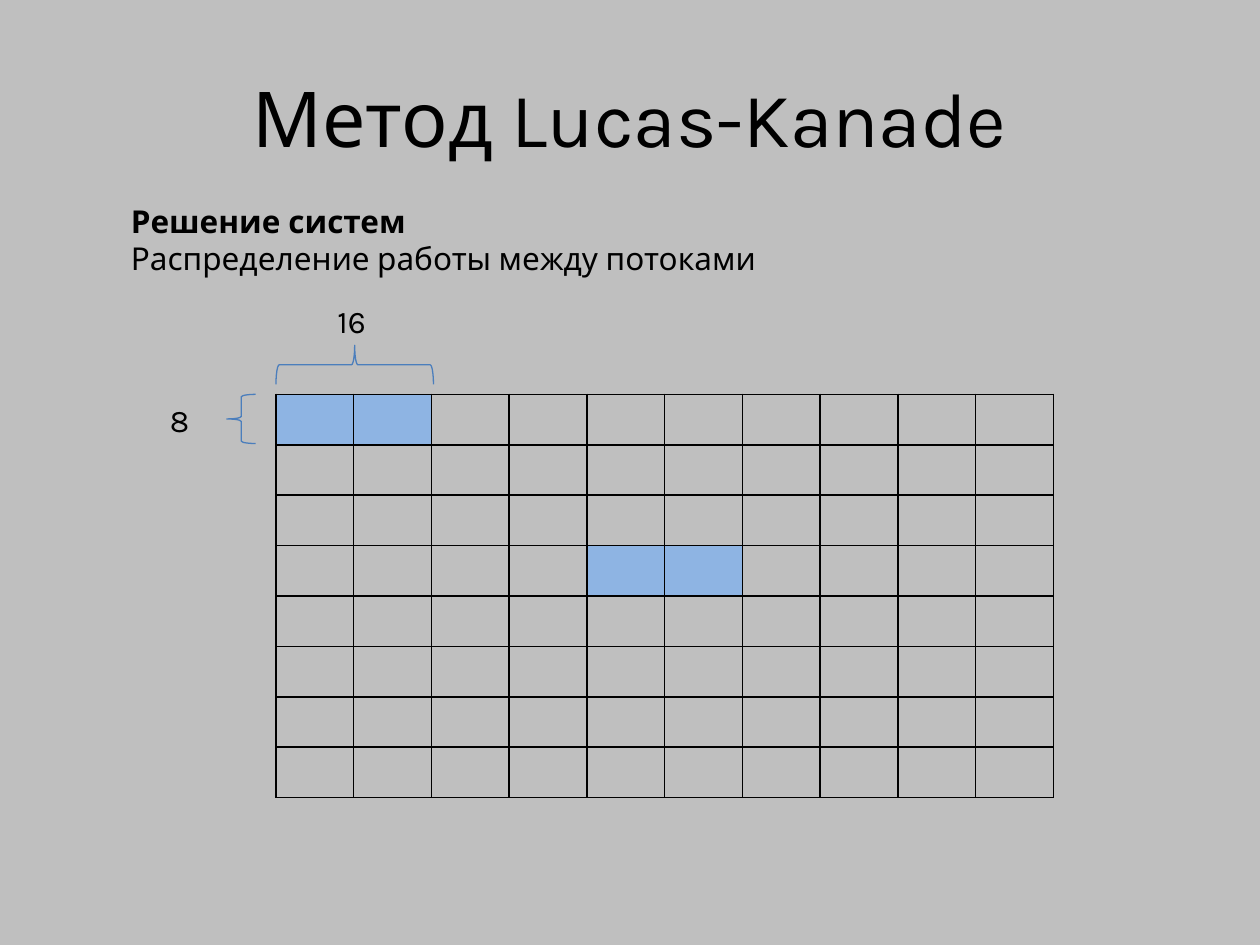
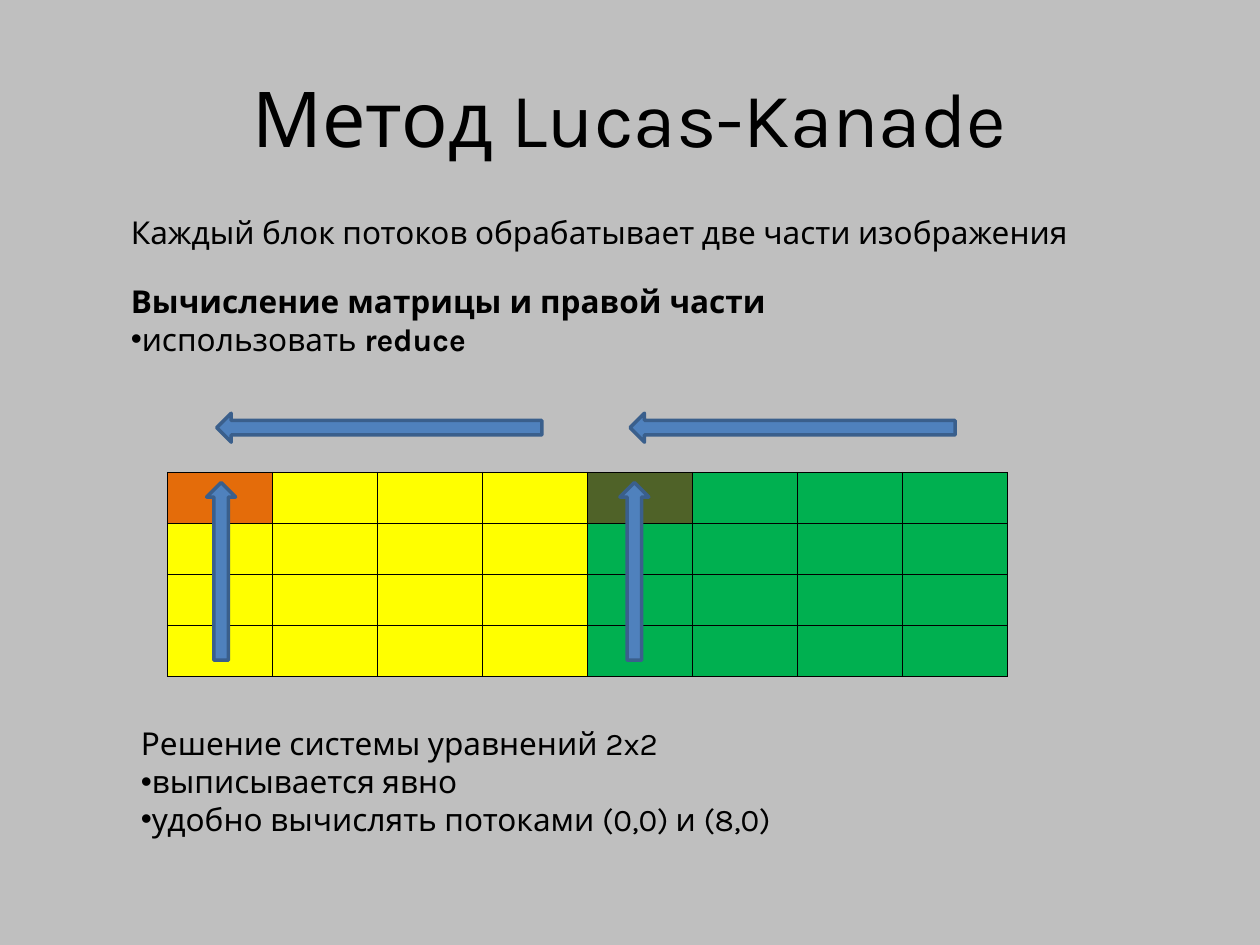
from lxml.etree import SubElement
from pptx import Presentation
from pptx.dml.color import RGBColor
from pptx.enum.shapes import MSO_SHAPE
from pptx.enum.text import MSO_ANCHOR, PP_ALIGN
from pptx.oxml.ns import qn
from pptx.util import Inches, Pt

COLORS = {
    "background": "BFBFBF", "text": "000000", "border": "000000",
    "block": "8EB4E3", "brace": "4B7EBC",
    "arrow": "4F81BD", "arrow_line": "3A5F8C",
    "left": "FFFF00", "left_corner": "E46C0A",
    "right": "00B050", "right_corner": "4F6228",
}
FONT = "Karla"
BODY_SIZE = 18
SLIDE_WIDTH, SLIDE_HEIGHT = 10, 7.5
TITLE = "Метод Lucas-Kanade"
TITLE_BOX = (0.5, 0.3, 9, 1.25)

THREADS = {
    "texts": [
        ((0.94, 1.55, 5.55, 0.71), [
            {"spans": [("Решение систем", True)]},
            {"spans": [("Распределение работы между потоками", False)]},
        ]),
        ((1.25, 3.13, 0.34, 0.4), [{"spans": [("8", False)]}]),
        ((2.58, 2.35, 0.78, 0.4), [{"spans": [("16", False)]}]),
    ],
    "grid": (2.19, 3.13, 6.17, 3.2),
    "columns": 10, "rows": 8,
    "filled": {(0, 0), (0, 1), (3, 4), (3, 5)},
}
REDUCTION = {
    "texts": [
        ((0.94, 1.64, 8.13, 0.4), [
            {"spans": [("Каждый блок потоков обрабатывает две части изображения", False)]},
        ]),
        ((0.94, 2.19, 7.34, 0.71), [
            {"spans": [("Вычисление матрицы и правой части", True)]},
            {"bullet": True, "spans": [("использовать ", False), ("reduce", True)]},
        ]),
        ((1.02, 5.7, 6.17, 1.01), [
            {"spans": [("Решение системы уравнений 2x2", False)]},
            {"bullet": True, "spans": [("выписывается явно", False)]},
            {"bullet": True, "spans": [("удобно вычислять потоками (0,0) и (8,0)", False)]},
        ]),
    ],
    "grid": (1.33, 3.75, 6.67, 1.62),
    "columns": 8, "rows": 4,
    "arrows": [
        (MSO_SHAPE.LEFT_ARROW, (1.72, 3.28, 2.58, 0.23)),
        (MSO_SHAPE.UP_ARROW, (1.64, 3.83, 0.23, 1.41)),
    ],
    "arrow_step": 3.28,
}


def color(name):
    """Return the named palette colour."""
    return RGBColor.from_string(COLORS[name])


def inches(area):
    """Convert a left, top, width, height tuple to lengths."""
    return [Inches(length) for length in area]


def apply(target, values):
    """Set attributes of an object from a dict."""
    for name, value in values.items():
        setattr(target, name, value)


def add_text(slide, area, paragraphs, size=BODY_SIZE, align=PP_ALIGN.LEFT, anchor=MSO_ANCHOR.TOP):
    """Add a text box with styled spans and optional bullets."""
    frame = slide.shapes.add_textbox(*inches(area)).text_frame
    apply(frame, {"word_wrap": True, "vertical_anchor": anchor})
    for index, content in enumerate(paragraphs):
        para = frame.add_paragraph() if index else frame.paragraphs[0]
        para.alignment = align
        if content.get("bullet"):
            properties = para._p.get_or_add_pPr()
            SubElement(properties, qn("a:buFont"), typeface="Arial")
            SubElement(properties, qn("a:buChar"), char="•")
        for text, bold in content["spans"]:
            span = para.add_run()
            span.text = text
            apply(span.font, {"name": FONT, "size": Pt(size), "bold": bold})
            span.font.color.rgb = color("text")


def add_figure(slide, kind, area, line, width, fill=None, rotation=0):
    """Add a preset shape without shadow."""
    figure = slide.shapes.add_shape(kind, *inches(area))
    figure.shadow.inherit = False
    figure.rotation = rotation
    if fill:
        figure.fill.solid()
        figure.fill.fore_color.rgb = color(fill)
    else:
        figure.fill.background()
    figure.line.color.rgb = color(line)
    figure.line.width = Pt(width)


def style_cell(cell, fill):
    """Give a cell thin borders, no margins and a fill."""
    apply(cell, dict.fromkeys(("margin_left", "margin_right", "margin_top", "margin_bottom"), 0))
    properties = cell._tc.get_or_add_tcPr()
    for side in "LRTB":
        border = SubElement(properties, qn(f"a:ln{side}"), w=str(Pt(1)))
        solid = SubElement(border, qn("a:solidFill"))
        SubElement(solid, qn("a:srgbClr"), val=COLORS["border"])
    if fill:
        cell.fill.solid()
        cell.fill.fore_color.rgb = color(fill)
    else:
        cell.fill.background()


def add_grid(slide, content, fill_for):
    """Add an evenly divided table coloured by a rule."""
    rows, columns = content["rows"], content["columns"]
    left, top, width, height = content["grid"]
    table = slide.shapes.add_table(rows, columns, *inches(content["grid"])).table
    apply(table, {"first_row": False, "horz_banding": False})
    for column in table.columns:
        column.width = Inches(width / columns)
    for row in table.rows:
        row.height = Inches(height / rows)
    for row in range(rows):
        for column in range(columns):
            style_cell(table.cell(row, column), fill_for(row, column))


def add_slide(deck, content):
    """Add a slide with the shared background, title and texts."""
    slide = deck.slides.add_slide(deck.slide_layouts[6])
    slide.background.fill.solid()
    slide.background.fill.fore_color.rgb = color("background")
    add_text(slide, TITLE_BOX, [{"spans": [(TITLE, False)]}], 44, PP_ALIGN.CENTER, MSO_ANCHOR.MIDDLE)
    for area, paragraphs in content["texts"]:
        add_text(slide, area, paragraphs)
    return slide


def build_threads(deck):
    """Build the slide that distributes work between threads."""
    slide = add_slide(deck, THREADS)
    add_grid(slide, THREADS, lambda row, column: "block" if (row, column) in THREADS["filled"] else None)
    add_figure(slide, MSO_SHAPE.LEFT_BRACE, (1.8, 3.13, 0.23, 0.39), "brace", 0.75)
    add_figure(slide, MSO_SHAPE.RIGHT_BRACE, (2.66, 2.27, 0.31, 1.25), "brace", 0.75, rotation=270)


def half_fill(row, column):
    """Return the colour of a cell in the two image parts."""
    half = REDUCTION["columns"] // 2
    side = "left" if column < half else "right"
    return f"{side}_corner" if row == 0 and column % half == 0 else side


def build_reduction(deck):
    """Build the slide that reduces both image parts."""
    slide = add_slide(deck, REDUCTION)
    add_grid(slide, REDUCTION, half_fill)
    for kind, (left, top, width, height) in REDUCTION["arrows"]:
        for part in range(2):
            area = (left + part * REDUCTION["arrow_step"], top, width, height)
            add_figure(slide, kind, area, "arrow_line", 2, "arrow")


def main():
    """Create and save the deck."""
    deck = Presentation()
    apply(deck, {"slide_width": Inches(SLIDE_WIDTH), "slide_height": Inches(SLIDE_HEIGHT)})
    build_threads(deck)
    build_reduction(deck)
    deck.save("out.pptx")


if __name__ == "__main__":
    main()
